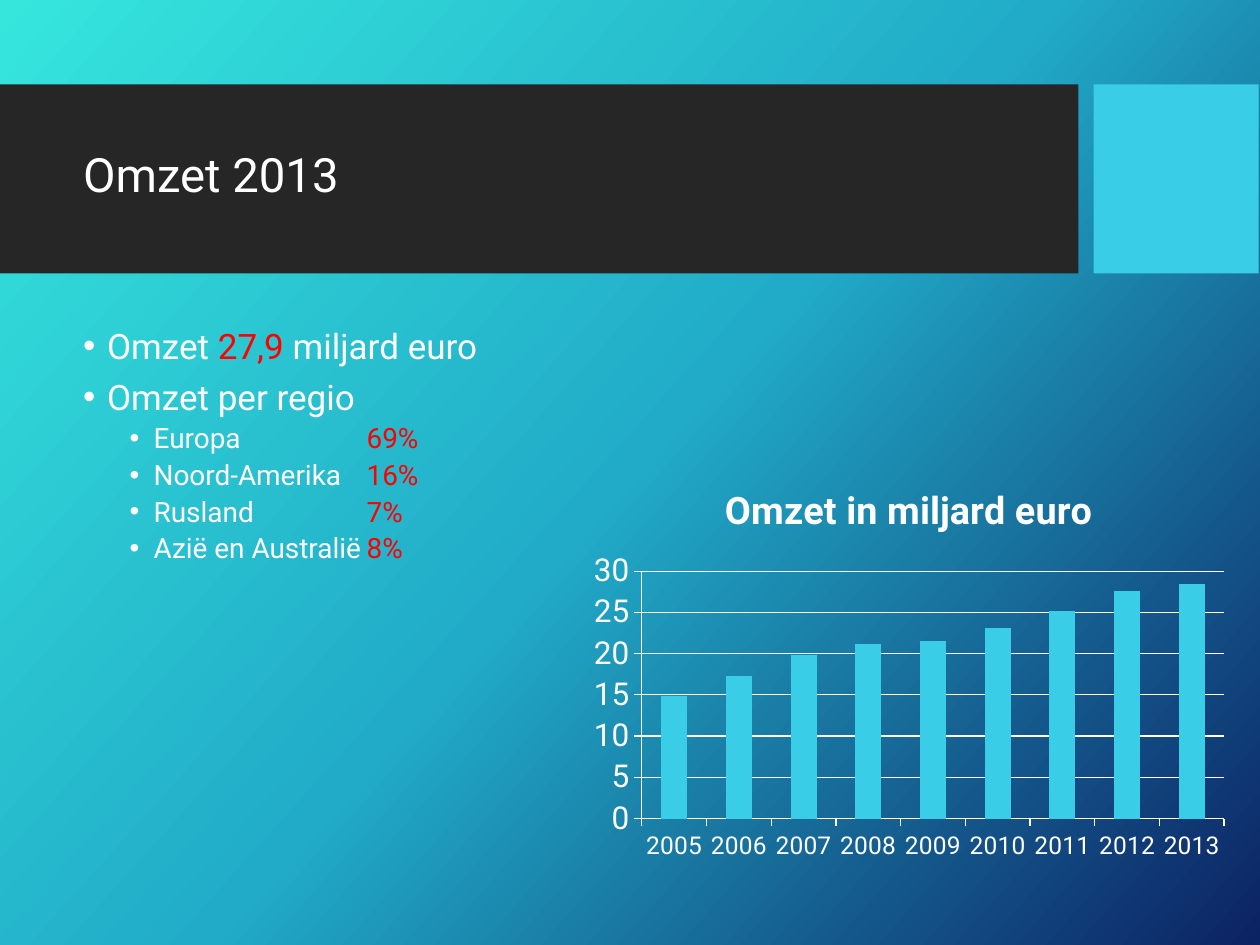
"""Build the 2013 revenue slide with a region list and a column chart."""
from typing import NamedTuple

from lxml.etree import SubElement
from pptx import Presentation
from pptx.chart.data import CategoryChartData
from pptx.dml.color import RGBColor
from pptx.enum.chart import XL_CHART_TYPE as ChartType, XL_TICK_MARK as Tick
from pptx.enum.shapes import MSO_SHAPE as Shape
from pptx.enum.text import MSO_ANCHOR as Anchor, MSO_AUTO_SIZE as AutoSize, PP_ALIGN as Align
from pptx.oxml.ns import qn
from pptx.util import Inches, Pt

WHITE = RGBColor(0xFF, 0xFF, 0xFF)
RED = RGBColor(0xFF, 0x00, 0x00)
DARK = RGBColor(0x26, 0x26, 0x26)
CYAN = RGBColor(0x39, 0xCD, 0xE7)
GRADIENT = {0: RGBColor(0x36, 0xE6, 0xDD), 50: RGBColor(0x21, 0xAB, 0xC8),
            100: RGBColor(0x0C, 0x22, 0x63)}
FONT = "Roboto"
VALUE_TAB = 2.25


class Box(NamedTuple):
    left: float
    top: float
    width: float
    height: float

    def emu(self) -> list:
        return [Inches(v) for v in self]


class Banner(NamedTuple):
    box: Box
    color: RGBColor


class Level(NamedTuple):
    size: float
    indent: float
    before: float


class Item(NamedTuple):
    level: int
    runs: list


BANNERS = [Banner(Box(0, 0.67, 8.56, 1.5), DARK), Banner(Box(8.68, 0.67, 1.31, 1.5), CYAN)]
TITLE_BOX = Box(0.56, 0.82, 7.89, 1.18)
BODY_BOX = Box(0.56, 2.56, 3.85, 3.94)
CHART_BOX = Box(4.61, 3.67, 5.21, 3.23)
LEVELS = [Level(20, 0.19, 7.5), Level(16, 0.56, 3.8)]
REGIONS = {"Europa": "69%", "Noord-Amerika": "16%", "Rusland": "7%", "Azië en Australië": "8%"}
ITEMS = [
    Item(0, [("Omzet ", WHITE), ("27,9", RED), (" miljard euro", WHITE)]),
    Item(0, [("Omzet per regio", WHITE)]),
    *(Item(1, [(f"{name}\t", WHITE), (share, RED)]) for name, share in REGIONS.items()),
]
CHART_TITLE = "Omzet in miljard euro"
REVENUE = [14.8, 17.3, 19.8, 21.2, 21.5, 23.1, 25.2, 27.6, 28.5]


def apply(obj, values: dict) -> None:
    for name, value in values.items():
        setattr(obj, name, value)


def style_font(font, size: float, color: RGBColor = WHITE, bold: bool = False) -> None:
    apply(font, {"name": FONT, "size": Pt(size), "bold": bold})
    font.color.rgb = color


def place(sp, box: Box) -> None:
    apply(sp, dict(zip(("left", "top", "width", "height"), box.emu())))


def paint_background(s) -> None:
    fill = s.background.fill
    fill.gradient()
    fill.gradient_angle = 360 - 42
    stops = s.element.find(".//" + qn("a:gsLst"))
    for stop in list(stops):
        stops.remove(stop)
    for position, color in GRADIENT.items():
        stop = SubElement(stops, qn("a:gs"), pos=str(position * 1000))
        SubElement(stop, qn("a:srgbClr"), val=str(color))


def add_banner(s, banner: Banner, order: int) -> None:
    sp = s.shapes.add_shape(Shape.RECTANGLE, *banner.box.emu())
    sp.shadow.inherit = False
    sp.fill.solid()
    sp.fill.fore_color.rgb = banner.color
    sp.line.fill.background()
    s.shapes.element.insert(2 + order, sp.element)


def add_title(s) -> None:
    sp = s.shapes.title
    place(sp, TITLE_BOX)
    tf = sp.text_frame
    tf.text = "Omzet 2013"
    apply(tf, {"vertical_anchor": Anchor.MIDDLE, "auto_size": AutoSize.NONE})
    p = tf.paragraphs[0]
    apply(p, {"alignment": Align.LEFT, "line_spacing": 0.9})
    style_font(p.runs[0].font, 27)


def add_item(p, item: Item) -> None:
    level = LEVELS[item.level]
    apply(p, {"level": item.level, "line_spacing": 0.9, "space_before": Pt(level.before)})
    pPr = p._p.get_or_add_pPr()
    pPr.set("marL", str(Inches(level.indent)))
    pPr.set("indent", str(Inches(-0.19)))
    SubElement(pPr, qn("a:buFont"), typeface="Arial")
    SubElement(pPr, qn("a:buChar"), char="•")
    if item.level:
        tabs = SubElement(pPr, qn("a:tabLst"))
        SubElement(tabs, qn("a:tab"), pos=str(Inches(VALUE_TAB)), algn="l")
    for text, color in item.runs:
        r = p.add_run()
        r.text = text
        style_font(r.font, level.size, color)


def add_body(s) -> None:
    sp = s.placeholders[1]
    place(sp, BODY_BOX)
    tf = sp.text_frame
    tf.auto_size = AutoSize.NONE
    for i, item in enumerate(ITEMS):
        add_item(tf.add_paragraph() if i else tf.paragraphs[0], item)


def style_axis(axis, size: float) -> None:
    apply(axis, {"major_tick_mark": Tick.OUTSIDE, "minor_tick_mark": Tick.NONE})
    style_font(axis.tick_labels.font, size)
    axis.format.line.color.rgb = WHITE
    axis.format.line.width = Pt(0.75)


def add_revenue_chart(s) -> None:
    data = CategoryChartData()
    data.categories = [str(2005 + i) for i in range(len(REVENUE))]
    data.add_series(CHART_TITLE, REVENUE)
    chart = s.shapes.add_chart(ChartType.COLUMN_CLUSTERED, *CHART_BOX.emu(), data).chart
    style_font(chart.font, 18)
    chart.has_legend = False
    tf = chart.chart_title.text_frame
    tf.text = CHART_TITLE
    style_font(tf.paragraphs[0].runs[0].font, 21.6, bold=True)
    chart.chart_title.include_in_layout = False
    style_axis(chart.category_axis, 14)
    axis = chart.value_axis
    style_axis(axis, 18)
    apply(axis, {"minimum_scale": 0, "maximum_scale": 30, "major_unit": 5,
                 "has_major_gridlines": True})
    grid = axis.major_gridlines.format.line
    grid.color.rgb = WHITE
    grid.width = Pt(0.75)
    plot = chart.plots[0]
    apply(plot, {"gap_width": 150, "vary_by_categories": False})
    fill = plot.series[0].format.fill
    fill.solid()
    fill.fore_color.rgb = CYAN


def main() -> None:
    prs = Presentation()
    apply(prs, {"slide_width": Inches(10), "slide_height": Inches(7.5)})
    s = prs.slides.add_slide(prs.slide_layouts[1])
    paint_background(s)
    for order, banner in enumerate(BANNERS):
        add_banner(s, banner, order)
    add_title(s)
    add_body(s)
    add_revenue_chart(s)
    prs.save("out.pptx")


main()
